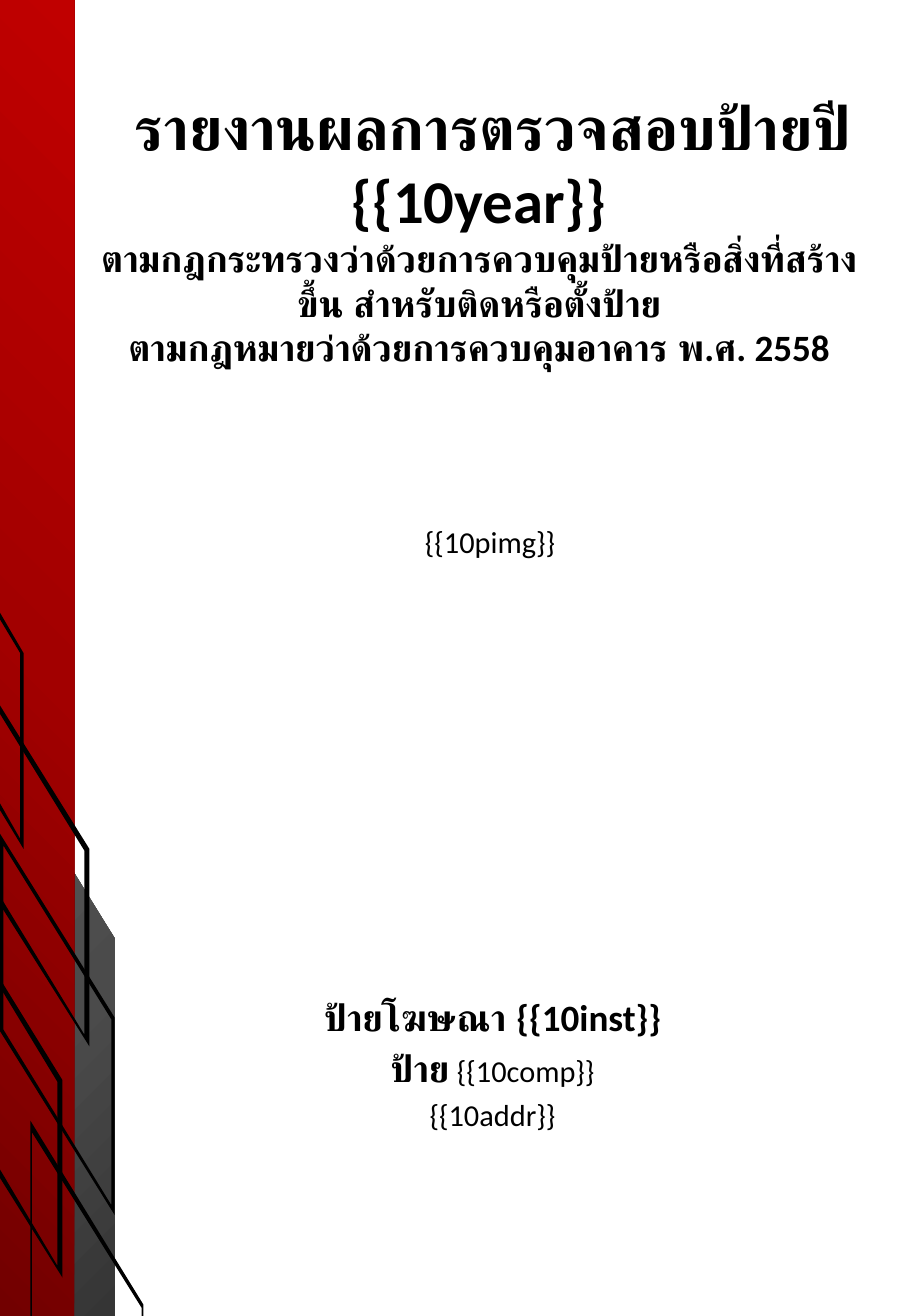
from lxml import etree
from pptx import Presentation
from pptx.dml.color import RGBColor
from pptx.enum import shapes, text
from pptx.oxml import parse_xml
from pptx.util import Pt

WIDTH, HEIGHT = 540, 779.76
BAND_WIDTH = 44
BLACK = RGBColor(0x00, 0x00, 0x00)
GREYS = [RGBColor(0x35, 0x35, 0x35), RGBColor(0x4B, 0x4B, 0x4B), RGBColor(0x59, 0x59, 0x59)]
REDS = [RGBColor(0x72, 0x00, 0x00), RGBColor(0xA2, 0x00, 0x00), RGBColor(0xC0, 0x00, 0x00)]
LINEAR = '<a:lin ang="18900000" scaled="0"/>'
FROM_BOTTOM_RIGHT = '<a:path path="circle"><a:fillToRect l="100000" t="100000"/></a:path>'
NAMESPACE = "http://schemas.openxmlformats.org/drawingml/2006/main"


def finish(shape, colour=BLACK):
    shape.shadow.inherit = False
    shape.line.fill.background()
    shape.fill.solid()
    shape.fill.fore_color.rgb = colour


def set_gradient(shape, colours, direction):
    """Replace the solid fill with three evenly spaced gradient stops."""
    stops = "".join(
        f'<a:gs pos="{index * 50000}"><a:srgbClr val="{colour}"/></a:gs>'
        for index, colour in enumerate(colours))
    gradient = parse_xml(f'<a:gradFill xmlns:a="{NAMESPACE}" rotWithShape="1">'
                         f'<a:gsLst>{stops}</a:gsLst>{direction}</a:gradFill>')
    properties = shape.element.spPr
    solid = properties.find(etree.QName(NAMESPACE, "solidFill"))
    properties.replace(solid, gradient)


def add_outline(slide, *contours):
    builder = slide.shapes.build_freeform(*contours[0][0], scale=Pt(1))
    builder.add_line_segments(contours[0][1:], close=True)
    for contour in contours[1:]:
        builder.move_to(*contour[0])
        builder.add_line_segments(contour[1:], close=True)
    shape = builder.convert_to_shape()
    finish(shape)
    return shape


def add_edge_frame(slide, width, top, corner):
    """Draw a slanted frame that runs off the left edge of the slide."""
    inner = width - 2.2
    add_outline(slide, [
        (0, top), (width, corner), (width, corner + 116.6), (0, top + 117.3),
        (0, top + 113), (inner, corner + 110), (inner, corner + 0.7), (0, top + 4.3)])


def add_side_decoration(slide):
    grey = add_outline(slide, [(0, 446), (68, 556.5), (68, HEIGHT), (0, HEIGHT)])
    set_gradient(grey, GREYS, FROM_BOTTOM_RIGHT)
    band = slide.shapes.add_shape(
        shapes.MSO_SHAPE.RECTANGLE, 0, 0, Pt(BAND_WIDTH), Pt(HEIGHT))
    finish(band)
    set_gradient(band, REDS, LINEAR)
    for width, top, corner in ((14.4, 363, 386.6), (36.7, 580.3, 640.1), (52.6, 418.3, 503.3)):
        add_edge_frame(slide, width, top, corner)
    add_outline(slide, [
        (18, 663.8), (85, 773.3), (85, HEIGHT), (83.5, HEIGHT),
        (83.5, 774.7), (19.4, 671), (19.4, HEIGHT), (18, HEIGHT)])
    add_outline(slide,
                [(2.2, 501.1), (2.2, 610), (65.5, 713.5), (65.5, 604.1)],
                [(0, 493.9), (67.7, 603.4), (67.7, 720), (0, 610.6)])


def place(shape, left, top, width, height):
    shape.left, shape.top, shape.width, shape.height = map(Pt, (left, top, width, height))
    frame = shape.text_frame
    frame.word_wrap = True
    frame.auto_size = text.MSO_AUTO_SIZE.NONE
    frame.vertical_anchor = text.MSO_ANCHOR.TOP
    return frame


def style(paragraph, size, bold=False):
    paragraph.alignment = text.PP_ALIGN.CENTER
    paragraph.font.name = "Calibri"
    paragraph.font.size = Pt(size)
    paragraph.font.bold = bold
    paragraph.font.color.rgb = BLACK


def add_report_title(slide, *box):
    frame = place(slide.shapes.title, *box)
    frame.text = "\n".join((
        "รายงานผลการตรวจสอบป้ายปี {{10year}}",
        "ตามกฎกระทรวงว่าด้วยการควบคุมป้ายหรือสิ่งที่สร้างขึ้น สำหรับติดหรือตั้งป้าย",
        "ตามกฎหมายว่าด้วยการควบคุมอาคาร พ.ศ. 2558"))
    for paragraph, size in zip(frame.paragraphs, (36, 22, 22)):
        style(paragraph, size, bold=True)
    # Shifts only the wrapped second line left of centre
    properties = frame.paragraphs[0].font._element.getparent()
    properties.set("marR", str(Pt(16)))
    properties.set("indent", str(Pt(16)))


def add_sign_details(slide, *box):
    frame = place(slide.shapes.add_textbox(0, 0, 0, 0), *box)
    heading = frame.paragraphs[0]
    heading.text = "ป้ายโฆษณา {{10inst}}"
    owner = frame.add_paragraph()
    owner.add_run().text = "ป้าย"
    for paragraph in (heading, owner):
        style(paragraph, 22, bold=True)
        paragraph.line_spacing = 1.15
    for index, field in enumerate((" {{10comp}}", "{{10addr}}")):
        if index:
            owner.add_line_break()
        run = owner.add_run()
        run.text = field
        run.font.size = Pt(18)
        run.font.bold = False


def add_photo_field(slide, *box):
    frame = place(slide.shapes.add_textbox(0, 0, 0, 0), *box)
    frame.margin_top = Pt(156)
    frame.text = "{{10pimg}}"
    style(frame.paragraphs[0], 18)


def main():
    presentation = Presentation()
    presentation.slide_width, presentation.slide_height = Pt(WIDTH), Pt(HEIGHT)
    slide = presentation.slides.add_slide(presentation.slide_layouts[5])
    add_side_decoration(slide)
    text_width = WIDTH - BAND_WIDTH
    add_report_title(slide, BAND_WIDTH, 49.7, text_width, 104.4)
    add_sign_details(slide, BAND_WIDTH, 581.8, text_width, 124.6)
    add_photo_field(slide, 85, 154, 411, 349)
    presentation.save("out.pptx")


if __name__ == "__main__":
    main()
